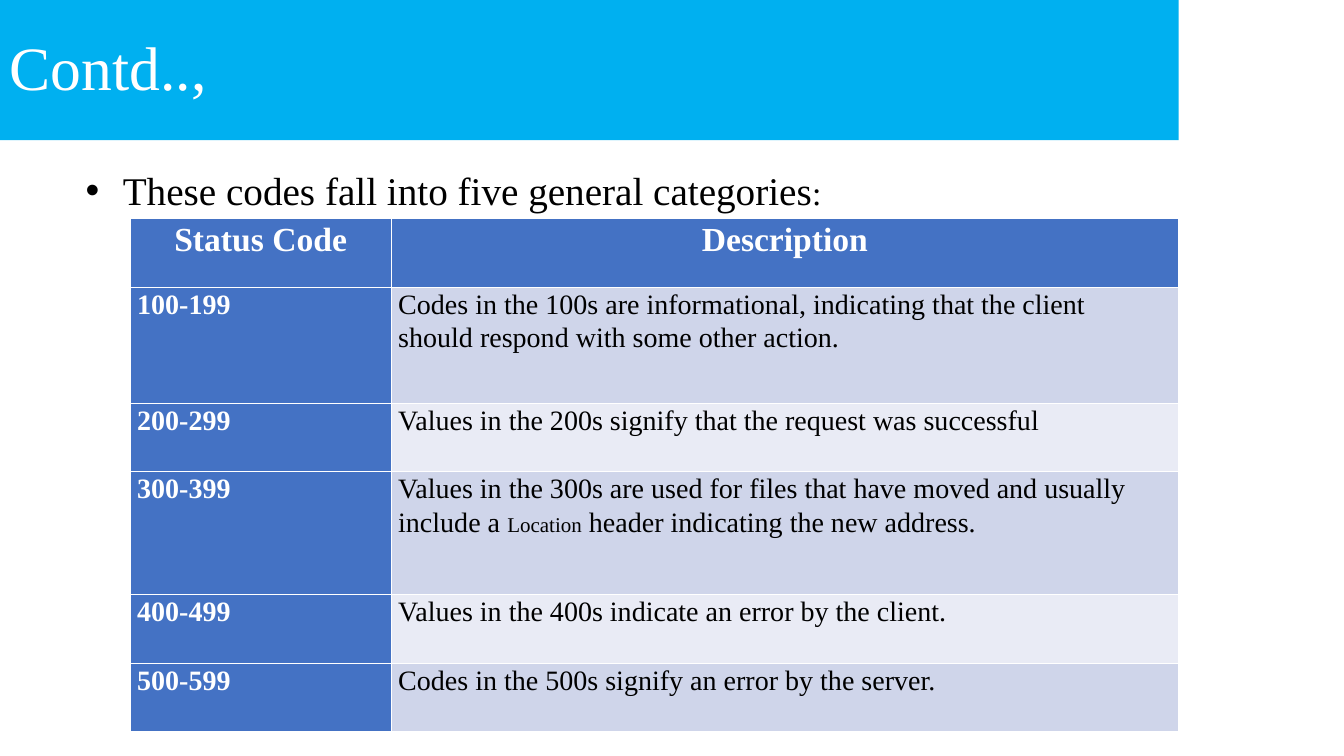
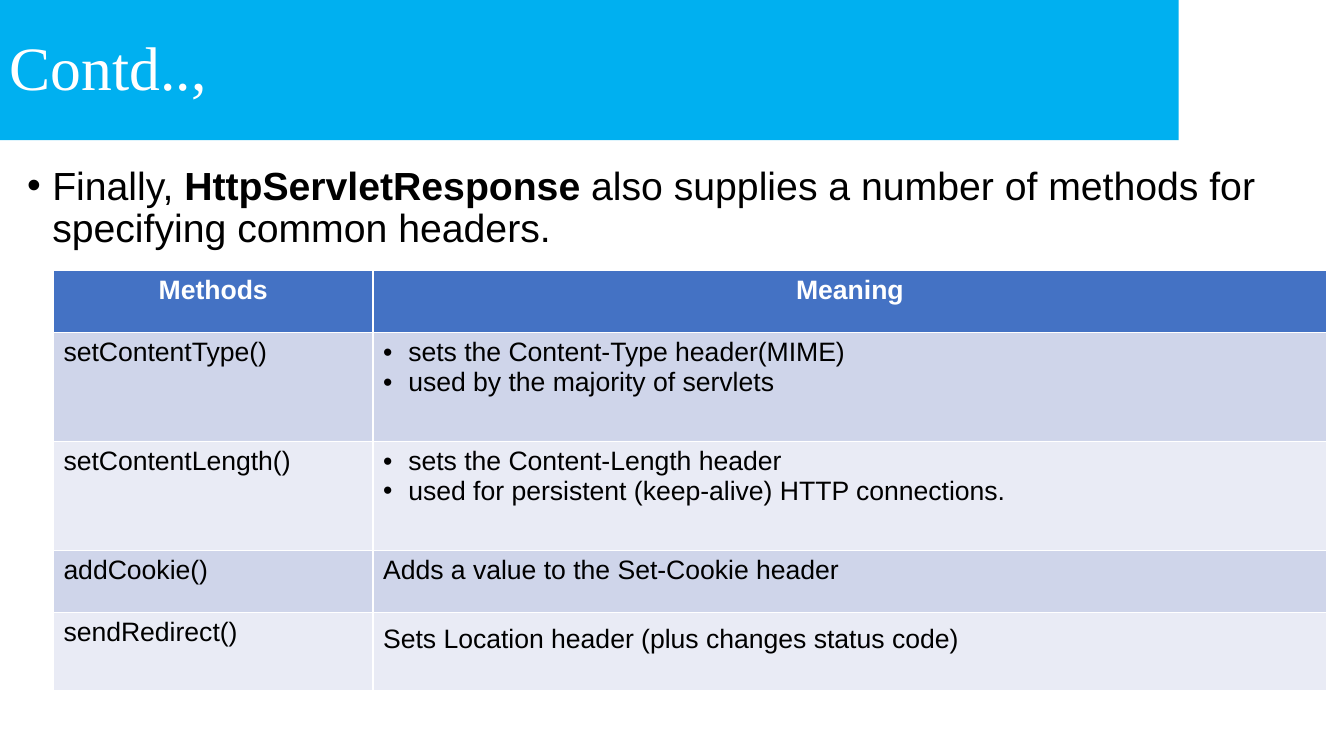
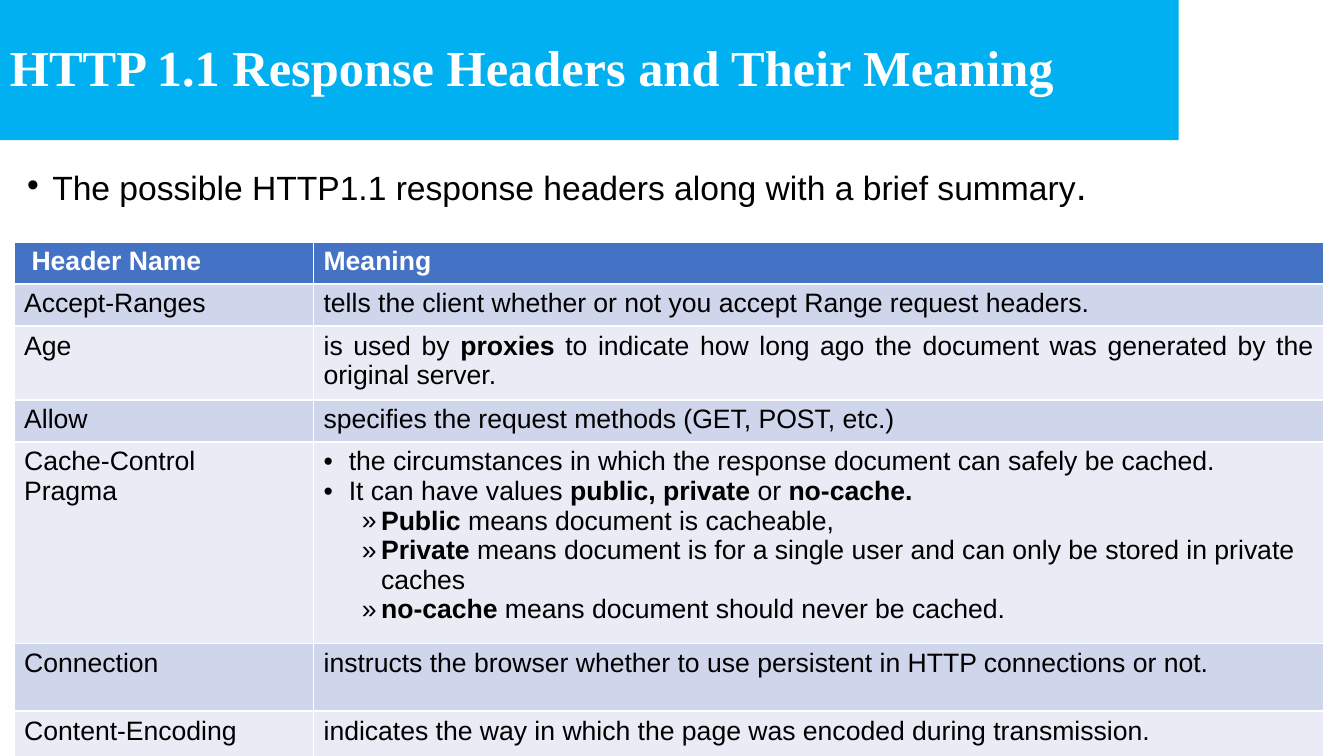
import pptx
import pptx.dml.color
import pptx.enum.shapes
import pptx.enum.text
import pptx.util
import lxml.etree

ALIGN = pptx.enum.text.PP_ALIGN
ANCHOR = pptx.enum.text.MSO_ANCHOR
SHAPE = pptx.enum.shapes.MSO_SHAPE
SCALE = 9144
SERIF = "Times New Roman"
SANS = "Arial"
COLORS = {
    "band": "00B0F0",
    "head": "4472C4",
    "odd": "CFD5EA",
    "even": "E9EBF5",
    "white": "FFFFFF",
    "black": "000000",
}
INDENTS = {"•": (25, 25), "»": (57, 19)}


def px(count):
    return pptx.util.Emu(count * SCALE)


def rgb(name):
    return pptx.dml.color.RGBColor.from_string(COLORS[name])


def bold(text):
    return text, {"bold": True}


def sized(text, size):
    return text, {"size": pptx.util.Pt(size)}


def para(*runs, mark="", align=ALIGN.LEFT):
    return {"runs": runs, "mark": mark, "align": align}


def bullet(*runs):
    return para(*runs, mark="•")


def sub(*runs):
    return para(*runs, mark="»")


class Deck:
    """Holds the shared style and the current slide."""

    def __init__(self):
        self.deck = pptx.Presentation()
        self.deck.slide_width = px(1333)
        self.deck.slide_height = px(750)
        self.slide = None

    def page(self, title, size=44, strong=False):
        self.slide = self.deck.slides.add_slide(self.deck.slide_layouts[6])
        band = self.slide.shapes.add_shape(SHAPE.RECTANGLE, 0, 0, px(1169), px(139))
        band.shadow.inherit = False
        band.fill.solid()
        band.fill.fore_color.rgb = rgb("band")
        band.line.fill.background()
        frame = band.text_frame
        frame.vertical_anchor = ANCHOR.MIDDLE
        self.flow(frame, [title], SERIF, size, "white", strong, 0.9)

    def mark(self, item, sign, indent):
        left, hang = indent
        props = item._p.get_or_add_pPr()
        props.set("marL", str(px(left)))
        props.set("indent", str(px(-hang)))
        space = props.nsmap["a"]
        lxml.etree.SubElement(props, f"{{{space}}}buFont", typeface=SANS)
        lxml.etree.SubElement(props, f"{{{space}}}buChar", char=sign)

    def flow(self, frame, paras, face, size, color, strong=False, lead=1.0,
             align=None, indent=None):
        frame.word_wrap = True
        for index, part in enumerate(paras):
            part = para(part) if isinstance(part, str) else part
            item = frame.add_paragraph() if index else frame.paragraphs[0]
            if part["mark"]:
                self.mark(item, part["mark"], indent or INDENTS[part["mark"]])
            item.alignment = align or part["align"]
            item.line_spacing = lead
            item.font.name = face
            item.font.size = pptx.util.Pt(size)
            item.font.bold = strong
            item.font.color.rgb = rgb(color)
            for piece in part["runs"]:
                text, style = (piece, {}) if isinstance(piece, str) else piece
                run = item.add_run()
                run.text = text
                if "bold" in style:
                    run.font.bold = style["bold"]
                if "size" in style:
                    run.font.size = style["size"]

    def text(self, area, line, face=SANS, size=28, lead=0.9, indent=None):
        box = self.slide.shapes.add_textbox(*map(px, area))
        self.flow(box.text_frame, [line], face, size, "black", lead=lead, indent=indent)

    def table(self, spot, cols, heights, rows, face=SANS, size=19, top=19,
              lead=1.0, pad=(10, 5), center=True, stub=False):
        area = (*spot, sum(cols), sum(heights))
        grid = self.slide.shapes.add_table(len(rows), len(cols), *map(px, area)).table
        grid.first_col = stub
        for col, width in zip(grid.columns, cols):
            col.width = px(width)
        for r, (row, height) in enumerate(zip(rows, heights)):
            grid.rows[r].height = px(height)
            for c, paras in enumerate(row):
                cell = grid.cell(r, c)
                head = r == 0 or (stub and c == 0)
                cell.fill.solid()
                cell.fill.fore_color.rgb = rgb("head" if head else "odd" if r % 2 else "even")
                cell.margin_left = cell.margin_right = px(pad[0])
                cell.margin_top = cell.margin_bottom = px(pad[1])
                paras = paras if isinstance(paras, list) else [paras]
                self.flow(cell.text_frame, paras, face, size if r else top,
                          "white" if head else "black", head, lead,
                          ALIGN.CENTER if center and r == 0 else None)


def main():
    deck = Deck()

    deck.page("Contd..,")
    deck.table((129, 217), (259, 781), (68, 115, 68, 122, 68, 68), [
        ("Status Code", "Description"),
        ("100-199", ["Codes in the 100s are informational, indicating that the client",
                     "should respond with some other action."]),
        ("200-299", "Values in the 200s signify that the request was successful"),
        ("300-399", para(
            "Values in the 300s are used for files that have moved and usually include a ",
            sized("Location", 15), " header indicating the new address.")),
        ("400-499", "Values in the 400s indicate an error by the client."),
        ("500-599", "Codes in the 500s signify an error by the server."),
    ], face=SERIF, size=20, top=24, lead=1.07, pad=(7, 0), stub=True)
    deck.text((75, 157, 811, 61),
              bullet("These codes fall into five general categories", sized(":", 24)),
              face=SERIF, lead=1.07, indent=(37, 37))

    body = (17, 160, 1299, 545)
    deck.page("Contd..,")
    deck.text(body, bullet(
        "Finally, ", bold("HttpServletResponse"),
        " also supplies a number of methods for specifying common headers."))
    deck.table((53, 268), (317, 946), (62, 108, 108, 62, 77), [
        ("Methods", "Meaning"),
        ("setContentType()", [bullet("sets the Content-Type header(MIME)"),
                              bullet("used by the majority of servlets")]),
        ("setContentLength()", [bullet("sets the Content-Length header"),
                                bullet("used for persistent (keep-alive) HTTP connections.")]),
        ("addCookie()", "Adds a value to the Set-Cookie header"),
        ("sendRedirect()", para("Sets Location header (plus changes status code)",
                                sized(" ", 24))),
    ])

    deck.page("HTTP 1.1 Response Headers and Their Meaning", 36, True)
    deck.text(body, bullet(
        "The possible HTTP1.1 response headers along with a brief summary",
        sized(".", 28)), size=24)
    deck.table((14, 240), (297, 1002), (38, 38, 67, 38, 200, 67, 64), [
        (" Header Name", "Meaning"),
        ("Accept-Ranges", "tells the client whether or not you accept Range request headers."),
        ("Age", para(
            "is used by ", bold("proxies"),
            " to indicate how long ago the document was generated by the original server.",
            align=ALIGN.JUSTIFY)),
        ("Allow", "specifies the request methods (GET, POST, etc.)"),
        (["Cache-Control", "Pragma"], [
            bullet("the circumstances in which the response document can safely be cached."),
            bullet("It can have values ", bold("public, private"), " or ", bold("no-cache.")),
            sub(bold("Public"), " means document is cacheable,"),
            sub(bold("Private"), " means document is for a single user"
                " and can only be stored in private caches"),
            sub(bold("no-cache"), " means document should never be cached."),
        ]),
        ("Connection",
         "instructs the browser whether to use persistent in HTTP connections or not."),
        ("Content-Encoding",
         "indicates the way in which the page was encoded during transmission."),
    ], center=False)

    deck.deck.save("out.pptx")


if __name__ == "__main__":
    main()
